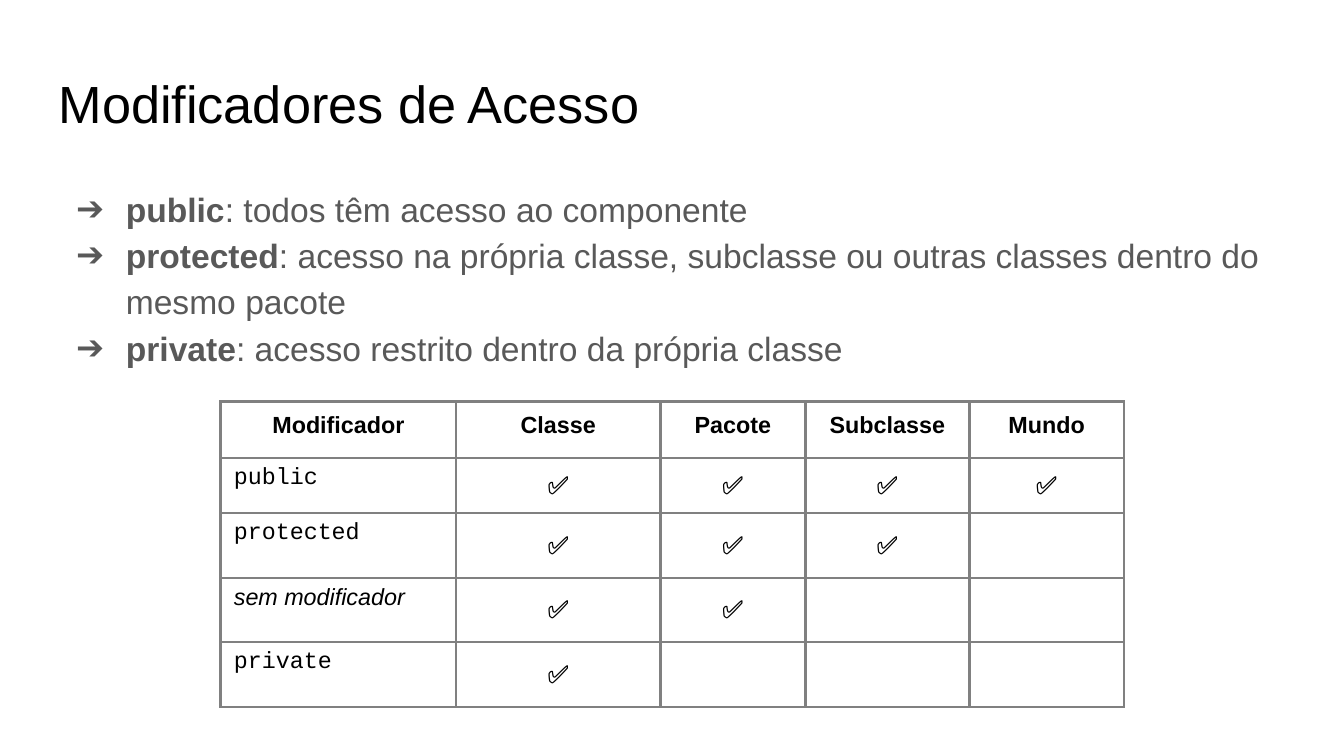
from lxml import etree
from pptx import Presentation
from pptx import util as u
from pptx.enum import text
from pptx.dml import color
from pptx.oxml import ns

COLORS = {"ink": "000000", "body": "595959", "grid": "808080", "page": "FFFFFF"}
SANS, MONO = "Arial", "Courier New"
CHECK = "✅"

RULES = [
    ("public", ": todos têm acesso ao componente"),
    ("protected", ": acesso na própria classe, subclasse ou outras classes dentro do mesmo pacote"),
    ("private", ": acesso restrito dentro da própria classe"),
]
HEADINGS = ["Modificador", "Classe", "Pacote", "Subclasse", "Mundo"]
ACCESS = [("public", 4), ("protected", 3), ("sem modificador", 2), ("private", 1)]
COLUMN_WIDTHS = [4.45, 3.86, 2.74, 3.1, 2.92]
ROW_HEIGHTS = [1.07, 1.04, 1.22, 1.22, 1.22]


def add_span(para, words, size, tint, font=SANS, bold=False, italic=False):
    """Append one styled run to a paragraph."""
    span = para.add_run()
    span.text = words
    span.font.size = u.Pt(size)
    span.font.name = font
    span.font.bold = bold
    span.font.italic = italic
    span.font.color.rgb = color.RGBColor.from_string(COLORS[tint])


def add_frame(page, area):
    """Add a wrapping text box and return its text frame."""
    frame = page.shapes.add_textbox(*map(u.Cm, area)).text_frame
    frame.word_wrap = True
    frame.margin_left = frame.margin_right = u.Cm(0.25)
    frame.margin_top = frame.margin_bottom = u.Cm(0.25)
    return frame


def add_child(parent, tag, **attributes):
    """Append a DrawingML element to a parent element."""
    return etree.SubElement(parent, ns.qn(tag), **attributes)


def set_arrow_bullet(para):
    """Give a paragraph a hanging arrow bullet."""
    props = para._p.get_or_add_pPr()
    props.set("marL", str(u.Cm(1.27)))
    props.set("indent", str(u.Cm(-0.94)))
    add_child(add_child(props, "a:buClr"), "a:srgbClr", val=COLORS["body"])
    add_child(props, "a:buFont", typeface=SANS)
    add_child(props, "a:buChar", char="➔")


def style_cell(cell):
    """Set the margins, grid lines and empty fill of a cell."""
    cell.margin_left = cell.margin_right = u.Cm(0.25)
    cell.margin_top = cell.margin_bottom = u.Cm(0.13)
    props = cell._tc.get_or_add_tcPr()
    for side in ("L", "R", "T", "B"):
        line = add_child(props, f"a:ln{side}", w=str(u.Pt(1.47)))
        add_child(add_child(line, "a:solidFill"), "a:srgbClr", val=COLORS["grid"])
    cell.fill.background()


def add_title(page, area):
    """Place the slide title in the area."""
    para = add_frame(page, area).paragraphs[0]
    para.line_spacing = 0.9
    add_span(para, "Modificadores de Acesso", 28, "ink")


def add_rules(page, area):
    """Place the bulleted explanation of each modifier in the area."""
    frame = add_frame(page, area)
    for index, (keyword, meaning) in enumerate(RULES):
        para = frame.add_paragraph() if index else frame.paragraphs[0]
        set_arrow_bullet(para)
        para.line_spacing = 1.15
        add_span(para, keyword, 18, "body", bold=True)
        add_span(para, meaning, 18, "body")


def add_access_table(page, left, top):
    """Place the table of modifiers and access levels at a corner."""
    area = (left, top, sum(COLUMN_WIDTHS), sum(ROW_HEIGHTS))
    table = page.shapes.add_table(
        len(ROW_HEIGHTS), len(COLUMN_WIDTHS), *map(u.Cm, area)).table
    table.first_row = table.horz_banding = False
    for column, width in zip(table.columns, COLUMN_WIDTHS):
        column.width = u.Cm(width)
    for row, height in zip(table.rows, ROW_HEIGHTS):
        row.height = u.Cm(height)
    for cell in table.iter_cells():
        style_cell(cell)

    for index, heading in enumerate(HEADINGS):
        para = table.cell(0, index).text_frame.paragraphs[0]
        para.alignment = text.PP_ALIGN.CENTER
        para.line_spacing = 1.15
        add_span(para, heading, 12.5, "ink", bold=True)

    for row, (modifier, levels) in enumerate(ACCESS, start=1):
        plain = modifier == "sem modificador"
        para = table.cell(row, 0).text_frame.paragraphs[0]
        add_span(para, modifier, 12.5, "ink", SANS if plain else MONO, italic=plain)
        for level in range(1, levels + 1):
            cell = table.cell(row, level)
            cell.vertical_anchor = text.MSO_ANCHOR.MIDDLE
            para = cell.text_frame.paragraphs[0]
            para.alignment = text.PP_ALIGN.CENTER
            add_span(para, CHECK, 13.5, "ink")


def main():
    """Build the slide and save the deck."""
    deck = Presentation()
    deck.slide_width, deck.slide_height = u.Cm(25.4), u.Cm(14.29)
    page = deck.slides.add_slide(deck.slide_layouts[6])
    page.background.fill.solid()
    page.background.fill.fore_color.rgb = color.RGBColor.from_string(COLORS["page"])
    add_title(page, (0.86, 1.24, 23.67, 1.6))
    add_rules(page, (0.86, 3.2, 23.67, 9.5))
    add_access_table(page, 4.17, 7.59)
    deck.save("out.pptx")


if __name__ == "__main__":
    main()
